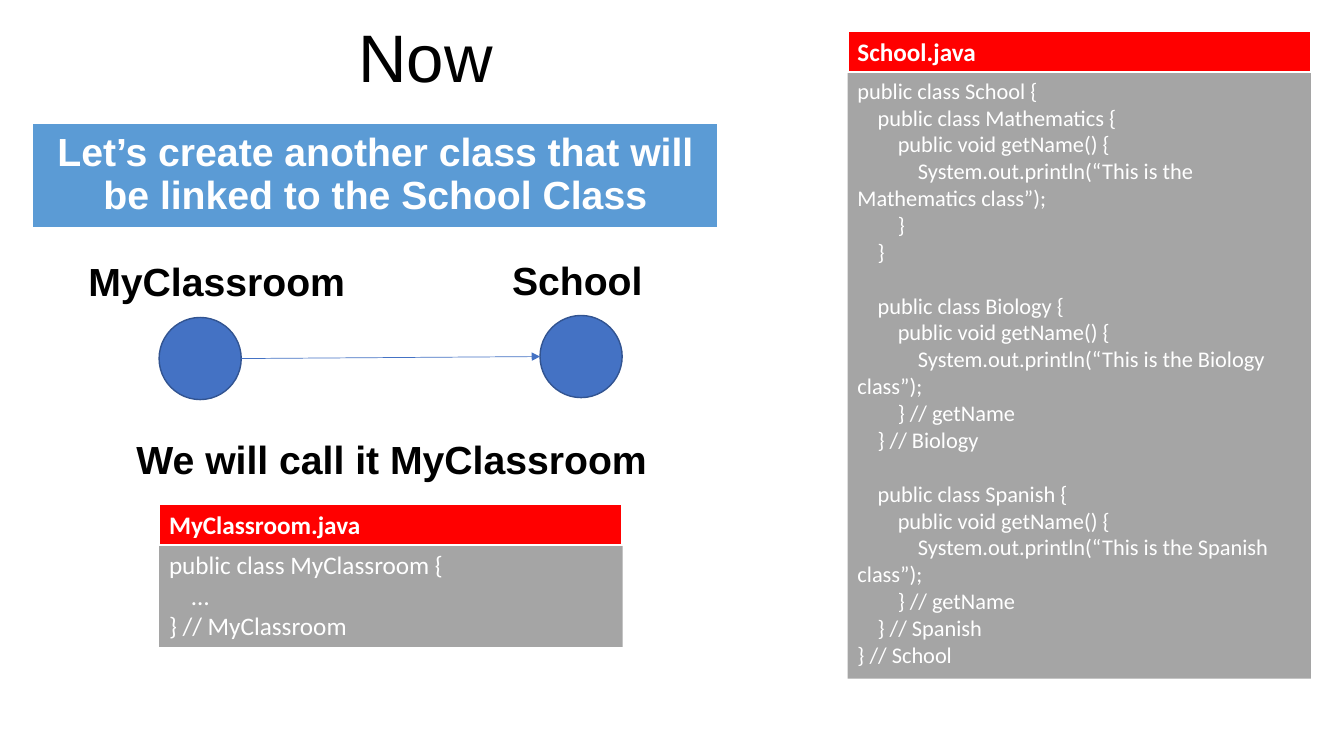
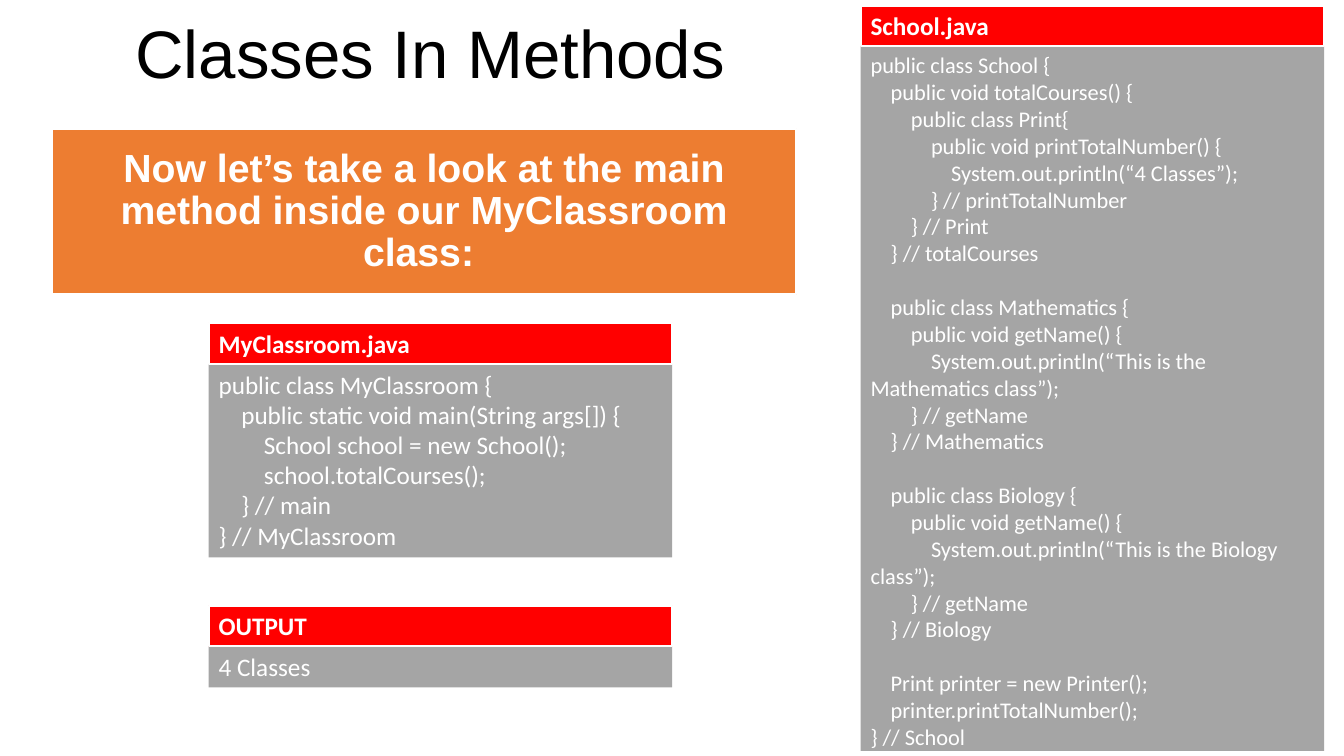
from lxml.etree import SubElement
from pptx import Presentation
from pptx.dml.color import RGBColor
from pptx.enum.shapes import MSO_CONNECTOR, MSO_SHAPE
from pptx.enum.text import MSO_ANCHOR as Anchor, PP_ALIGN as Align
from pptx.oxml.ns import qn
from pptx.util import Cm, Pt

WHITE = RGBColor(0xFF, 0xFF, 0xFF)
BLACK = RGBColor(0, 0, 0)
RED = RGBColor(0xFF, 0, 0)
GREY = RGBColor(0xA5, 0xA5, 0xA5)
SKY = RGBColor(0x5B, 0x9B, 0xD5)
ORANGE = RGBColor(0xED, 0x7D, 0x31)
BLUE = RGBColor(0x44, 0x72, 0xC4)
DARK_BLUE = RGBColor(0x32, 0x54, 0x91)

# Content: four leading spaces are one indent level, an empty line is a gap
SCHOOL_LINKED = """public class School {
    public class Mathematics {
        public void getName() {
            System.out.println(“This is the Mathematics class”);
        }
    }

    public class Biology {
        public void getName() {
            System.out.println(“This is the Biology class”);
        } // getName
    } // Biology

    public class Spanish {
        public void getName() {
            System.out.println(“This is the Spanish class”);
        } // getName
    } // Spanish
} // School"""

SCHOOL_COURSES = """public class School {
    public void totalCourses() {
        public class Print{
            public void printTotalNumber() {
                System.out.println(“4 Classes”);
            } // printTotalNumber
        } // Print
    } // totalCourses

    public class Mathematics {
        public void getName() {
            System.out.println(“This is the Mathematics class”);
        } // getName
    } // Mathematics

    public class Biology {
        public void getName() {
            System.out.println(“This is the Biology class”);
        } // getName
    } // Biology

    Print printer = new Printer();
    printer.printTotalNumber();
} // School"""

CLASSROOM_EMPTY = """public class MyClassroom {
    …
} // MyClassroom"""

CLASSROOM_MAIN = """public class MyClassroom {
    public static void main(String args[]) {
        School school = new School();
        school.totalCourses();
    } // main
} // MyClassroom"""

# Boxes are left, top, width, height in cm; panels are
# heading, code, left, top, code height in cm, code size in pt
SLIDES = [
    {
        "title": ("Now", (0, 0, 21.44, 3.05)),
        "banner": ("Let’s create another class that will be linked to the School Class",
                   (0.81, 3.1, 17.3, 2.64), SKY),
        "labels": [
            ("We will call it MyClassroom", (1.22, 10.52, 17.3, 2.21)),
            ("School", (12.29, 6.32, 4.52, 1.63)),
            ("MyClassroom", (1.93, 6.43, 7.06, 1.42)),
        ],
        "nodes": [(4.01, 8), (13.61, 7.95)],
        "panels": [
            ("School.java", SCHOOL_LINKED, 21.36, 0.78, 15.29, 16),
            ("MyClassroom.java", CLASSROOM_EMPTY, 4.01, 12.7, 2.57, 18),
        ],
    },
    {
        "title": ("Classes In Methods", (0, 0, 21.69, 2.84)),
        "banner": ("Now let’s take a look at the main method inside our MyClassroom class: ",
                   (1.3, 3.25, 18.77, 4.17), ORANGE),
        "labels": [],
        "nodes": [],
        "panels": [
            ("School.java", SCHOOL_COURSES, 21.69, 0.14, 17.75, 16),
            ("MyClassroom.java", CLASSROOM_MAIN, 5.26, 8.14, 4.88, 18),
            ("OUTPUT", "4 Classes", 5.26, 15.26, 1.03, 18),
        ],
    },
]

PANEL_WIDTH, HEADING_HEIGHT = 11.68, 1.03
NODE_SIZE = 2.07
INDENT_PER_PT = 0.9  # width of one indent level for each point of text size
LINE_PER_PT = 1.2    # height of one line for each point of text size


def add_block(slide, box, fill, line=None, line_width=1.5, preset=MSO_SHAPE.RECTANGLE):
    block = slide.shapes.add_shape(preset, *map(Cm, box))
    block.shadow.inherit = False
    block.fill.solid()
    block.fill.fore_color.rgb = fill
    if line is None:
        block.line.fill.background()
    else:
        block.line.color.rgb = line
        block.line.width = Pt(line_width)
    return block


def style(paragraph, font, size, color, bold=False):
    for run in paragraph.runs:
        run.font.name = font
        run.font.size = Pt(size)
        run.font.color.rgb = color
        run.font.bold = bold


def write_centred(shape, text, size, color, bold=True):
    frame = shape.text_frame
    frame.word_wrap = True
    frame.vertical_anchor = Anchor.MIDDLE
    frame.text = text
    paragraph = frame.paragraphs[0]
    paragraph.alignment = Align.CENTER
    paragraph.line_spacing = 0.9
    style(paragraph, "Arial", size, color, bold)


def write_code(shape, code, size, bold=False):
    frame = shape.text_frame
    frame.word_wrap = True
    frame.vertical_anchor = Anchor.TOP
    paragraph, gap = frame.paragraphs[0], False
    for number, line in enumerate(code.splitlines()):
        if not line:
            gap = True
            continue
        if number:
            paragraph = frame.add_paragraph()
        statement = line.lstrip()
        level = (len(line) - len(statement)) // 4
        paragraph.text = statement
        paragraph.alignment = Align.LEFT
        if gap:
            paragraph.space_before = Pt(LINE_PER_PT * size)
            gap = False
        # First-line indent, so that wrapped lines return to the margin
        properties = paragraph._p.get_or_add_pPr()
        properties.set("marL", "0")
        properties.set("indent", str(int(Pt(INDENT_PER_PT * size * level))))
        style(paragraph, "Calibri", size, WHITE, bold)


def add_panel(slide, heading, code, left, top, height, size):
    body = add_block(slide, (left, top + HEADING_HEIGHT, PANEL_WIDTH, height), GREY)
    write_code(body, code, size)
    header = add_block(slide, (left, top, PANEL_WIDTH, HEADING_HEIGHT), RED, WHITE)
    write_code(header, heading, 18, bold=True)


def add_link(slide, source, target):
    middle = NODE_SIZE / 2
    link = slide.shapes.add_connector(
        MSO_CONNECTOR.STRAIGHT,
        Cm(source[0] + NODE_SIZE), Cm(source[1] + middle),
        Cm(target[0]), Cm(target[1] + middle))
    link.line.color.rgb = BLUE
    link.line.width = Pt(0.5)
    SubElement(link.line._get_or_add_ln(), qn("a:tailEnd"), type="triangle")
    SubElement(link._element.spPr, qn("a:effectLst"))


def build_slide(deck, content):
    slide = deck.slides.add_slide(deck.slide_layouts[6])

    # Title and banner
    title, box = content["title"]
    write_centred(slide.shapes.add_textbox(*map(Cm, box)), title, 48, BLACK, bold=False)
    message, box, color = content["banner"]
    write_centred(add_block(slide, box, color, WHITE), message, 28, WHITE)

    # Class diagram
    for label, box in content["labels"]:
        write_centred(slide.shapes.add_textbox(*map(Cm, box)), label, 28, BLACK)
    nodes = content["nodes"]
    for left, top in nodes:
        add_block(slide, (left, top, NODE_SIZE, NODE_SIZE), BLUE, DARK_BLUE, 1, MSO_SHAPE.OVAL)
    for source, target in zip(nodes, nodes[1:]):
        add_link(slide, source, target)

    # Code panels
    for panel in content["panels"]:
        add_panel(slide, *panel)


def main():
    deck = Presentation()
    deck.slide_width, deck.slide_height = Cm(33.87), Cm(19.05)
    for content in SLIDES:
        build_slide(deck, content)
    deck.save("out.pptx")


if __name__ == "__main__":
    main()
